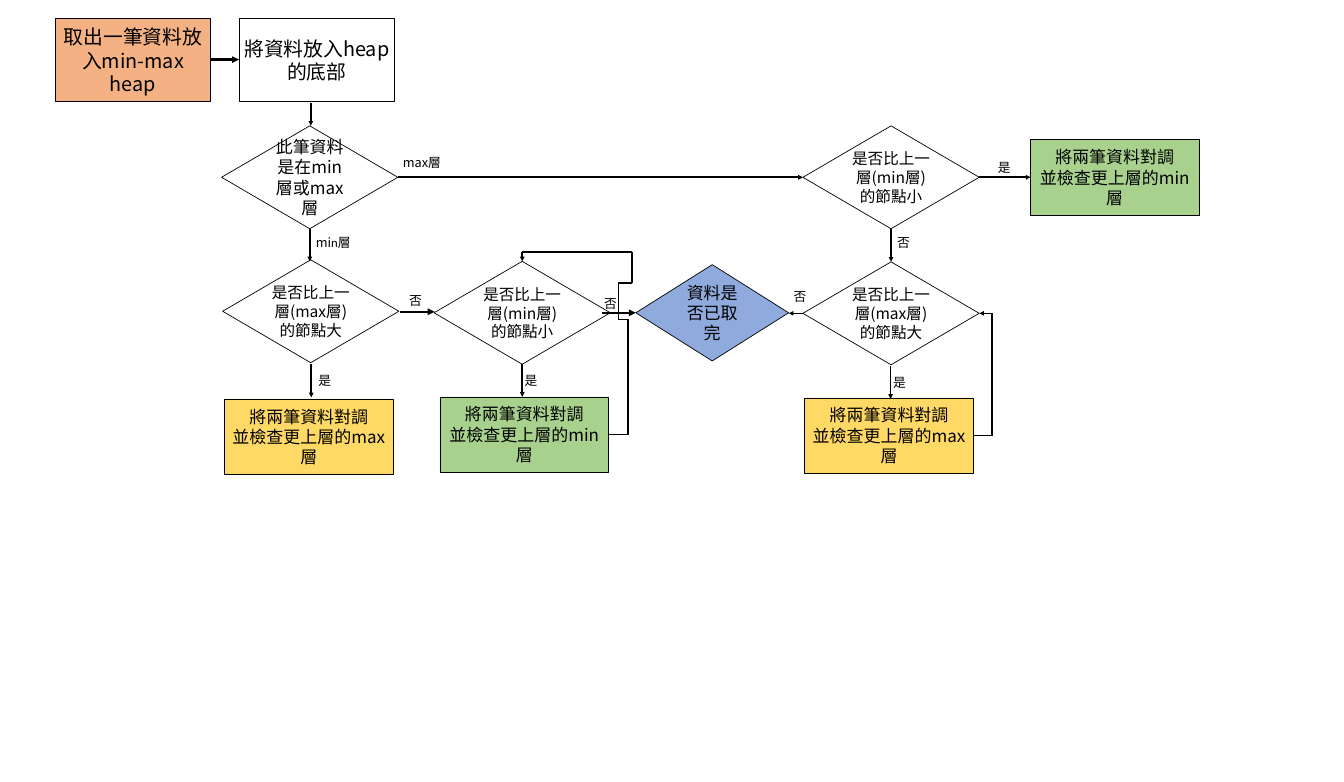
from itertools import pairwise
from lxml.etree import SubElement
from pptx import Presentation
from pptx.dml.color import RGBColor
from pptx.enum.shapes import MSO_CONNECTOR, MSO_SHAPE
from pptx.enum.text import MSO_ANCHOR, PP_ALIGN
from pptx.oxml.ns import qn
from pptx.util import Inches, Pt

CJK, LATIN = "Noto Sans CJK SC", "Calibri"
BLACK, WHITE, ORANGE, GREEN, BLUE, YELLOW = (
    "000000", "FFFFFF", "F4B183", "A9D18E", "8FAADC", "FFD966")

# Grid: centres of the columns and rows, in inches
START, LEFT, MIDDLE, DONE, RIGHT, FAR = 2.61, 6.08, 10.25, 13.98, 17.49, 21.88
INSERT, LEVEL, COMPARE, SWAP = 1.18, 3.48, 6.14, 8.55

deck = Presentation()
deck.slide_width, deck.slide_height = Inches(26.38), Inches(15.35)
slide = deck.slides.add_slide(deck.slide_layouts[6])


def color(hex_code):
    return RGBColor.from_string(hex_code)


# Node kinds: preset, width, height, text size
box, diamond = MSO_SHAPE.RECTANGLE, MSO_SHAPE.FLOWCHART_DECISION
step = (box, 3.05, 1.64, 28)
swap = (box, 3.31, 1.48, 24)
level_test = (diamond, 3.46, 2.02, 24)
compare_test = (diamond, 3.46, 2.02, 22)
end_test = (diamond, 3.0, 1.89, 24)

swap_min = "將兩筆資料對調\n並檢查更上層的min層"
swap_max = "將兩筆資料對調\n並檢查更上層的max層"
below_min = "是否比上一層(min層)的節點小"
above_max = "是否比上一層(max層)的節點大"

# Nodes: kind, centre, fill, wording
nodes = [
    (step, START, INSERT, ORANGE, "取出一筆資料放入min-max heap"),
    (step, LEFT + 0.14, INSERT, WHITE, "將資料放入heap的底部"),
    (level_test, LEFT, LEVEL, WHITE, "此筆資料是在min層或max層"),
    (compare_test, RIGHT, LEVEL, WHITE, below_min),
    (swap, FAR, LEVEL, GREEN, swap_min),
    (compare_test, LEFT + 0.02, COMPARE - 0.03, WHITE, above_max),
    (compare_test, MIDDLE, COMPARE, WHITE, below_min),
    (end_test, DONE, COMPARE, BLUE, "資料是否已取完"),
    (compare_test, RIGHT, COMPARE + 0.01, WHITE, above_max),
    (swap, LEFT - 0.02, SWAP + 0.02, YELLOW, swap_max),
    (swap, MIDDLE + 0.04, SWAP - 0.02, GREEN, swap_min),
    (swap, RIGHT - 0.04, SWAP, YELLOW, swap_max),
]
for (preset, width, height, size), x, y, fill, wording in nodes:
    node = slide.shapes.add_shape(
        preset, Inches(x - width / 2), Inches(y - height / 2),
        Inches(width), Inches(height))
    node.shadow.inherit = False
    node.fill.solid()
    node.fill.fore_color.rgb = color(fill)
    node.line.color.rgb = color(BLACK)
    node.line.width = Pt(1)
    frame = node.text_frame
    frame.word_wrap = True
    frame.vertical_anchor = MSO_ANCHOR.MIDDLE
    frame.text = wording
    for paragraph in frame.paragraphs:
        paragraph.alignment = PP_ALIGN.CENTER
        paragraph.font.name = CJK
        paragraph.font.size = Pt(size)
        paragraph.font.color.rgb = color(BLACK)

# Arrows: line width, then the points passed, with the head at the last
arrows = [
    (3.25, [(4.13, 1.17), (4.69, 1.17)]),
    (2.25, [(6.1, 2.02), (6.1, 2.47)]),
    (2.25, [(LEFT, 4.49), (LEFT, 5.13)]),
    (2.25, [(7.82, LEVEL), (15.76, LEVEL)]),
    (2.25, [(19.22, LEVEL), (20.23, LEVEL)]),
    (2.25, [(RIGHT, 4.49), (RIGHT, 5.14)]),
    (3.25, [(7.86, 6.12), (8.53, 6.12)]),
    (3.25, [(11.82, COMPARE), (12.48, COMPARE)]),
    (2.25, [(15.76, 6.15), (15.48, 6.15)]),
    (2.25, [(6.11, 7.14), (6.11, 7.8)]),
    (2.25, [(MIDDLE, 7.15), (MIDDLE, 7.79)]),
    (2.25, [(17.48, 7.19), (17.48, 7.83)]),
    # Loops back from a swap to its test
    (2.25, [(11.96, 8.53), (12.33, 8.53), (12.33, 6.27), (12.14, 6.27),
            (12.14, 5.55), (12.41, 5.55), (12.41, 4.95), (MIDDLE, 4.95),
            (MIDDLE, 5.13)]),
    (2.25, [(19.1, SWAP), (19.47, SWAP), (19.47, 6.15), (19.22, 6.15)]),
]
for weight, route in arrows:
    for begin, end in pairwise(route):
        segment = slide.shapes.add_connector(
            MSO_CONNECTOR.STRAIGHT, *map(Inches, begin + end))
        segment.line.color.rgb = color(BLACK)
        segment.line.width = Pt(weight)
        SubElement(segment.element.spPr, qn("a:effectLst"))
    SubElement(segment.line._get_or_add_ln(), qn("a:tailEnd"), type="triangle")

# Branch labels: left, top, runs of wording and font
yes, no = [("是", LATIN)], [("否", LATIN)]
labels = [
    (7.81, 2.99, [("max", CJK), ("層", LATIN)]),
    (6.1, 4.55, [("mi", CJK), ("n層", LATIN)]),
    (19.49, 3.08, yes),
    (17.51, 4.56, no),
    (7.93, 5.7, no),
    (11.76, 5.75, no),
    (15.48, 5.62, no),
    (6.15, 7.27, yes),
    (10.2, 7.27, yes),
    (17.43, 7.31, yes),
]
for left, top, parts in labels:
    label = slide.shapes.add_textbox(
        Inches(left), Inches(top), Inches(1.12), Inches(0.4))
    label.text_frame.word_wrap = True
    paragraph = label.text_frame.paragraphs[0]
    paragraph.font.size = Pt(18)
    paragraph.font.color.rgb = color(BLACK)
    for wording, font in parts:
        run = paragraph.add_run()
        run.text = wording
        run.font.name = font

deck.save("out.pptx")
